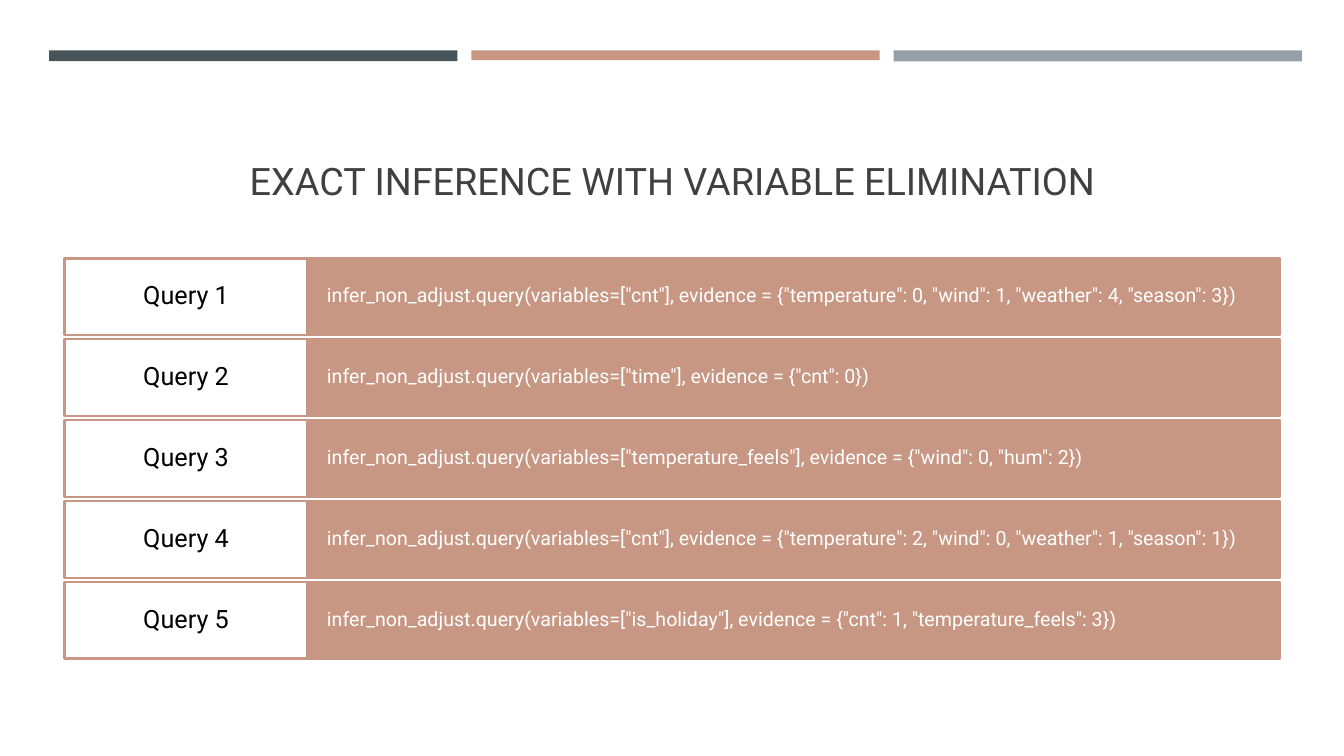
from pptx import Presentation
from pptx.dml.color import RGBColor
from pptx.enum.shapes import MSO_SHAPE as Shape
from pptx.enum.text import MSO_ANCHOR as Anchor, PP_ALIGN as Align
from pptx.util import Cm, Pt

SLATE = RGBColor(0x46, 0x53, 0x59)
CLAY = RGBColor(0xC7, 0x97, 0x83)
GRAY = RGBColor(0x96, 0x9F, 0xA7)
TITLE_GRAY = RGBColor(0x40, 0x40, 0x40)
BLACK = RGBColor(0x00, 0x00, 0x00)
WHITE = RGBColor(0xFF, 0xFF, 0xFF)

QUERIES = [
    'infer_non_adjust.query(variables=["cnt"], evidence = {"temperature": 0, "wind": 1, "weather": 4, "season": 3})',
    'infer_non_adjust.query(variables=["time"], evidence = {"cnt": 0})',
    'infer_non_adjust.query(variables=["temperature_feels"], evidence = {"wind": 0, "hum": 2})',
    'infer_non_adjust.query(variables=["cnt"], evidence = {"temperature": 2, "wind": 0, "weather": 1, "season": 1})',
    'infer_non_adjust.query(variables=["is_holiday"], evidence = {"cnt": 1, "temperature_feels": 3})',
]

presentation = Presentation()
presentation.slide_width, presentation.slide_height = Cm(33.87), Cm(19.05)
slide = presentation.slides.add_slide(presentation.slide_layouts[6])


def add_box(left, top, width, height, color):
    shape = slide.shapes.add_shape(
        Shape.RECTANGLE, Cm(left), Cm(top), Cm(width), Cm(height))
    shape.shadow.inherit = False
    shape.fill.solid()
    shape.fill.fore_color.rgb = color
    shape.line.fill.background()
    return shape


def write_text(shape, text, size, color, align, anchor):
    frame = shape.text_frame
    frame.word_wrap = True
    frame.vertical_anchor = anchor
    paragraph = frame.paragraphs[0]
    paragraph.text = text
    paragraph.alignment = align
    paragraph.line_spacing = 0.9
    paragraph.font.name = "Roboto"
    paragraph.font.size = Pt(size)
    paragraph.font.color.rgb = color
    return frame


# Bars along the top
for column, (color, height) in enumerate([(SLATE, 0.27), (CLAY, 0.25), (GRAY, 0.28)]):
    add_box(1.24 + column * 10.64, 1.27, 10.29, height, color)

# Title
title = slide.shapes.add_textbox(Cm(1.63), Cm(1.96), Cm(30.63), Cm(3.3))
write_text(title, "EXACT INFERENCE WITH VARIABLE ELIMINATION", 27,
           TITLE_GRAY, Align.CENTER, Anchor.BOTTOM)

# Query rows: code on the right, label on the left
for row, query in enumerate(QUERIES):
    top = 6.51 + row * 2.04
    cells = [
        (7.75, 24.51, CLAY, query, 14, WHITE, Align.LEFT, 0.49, 0.49),
        (1.63, 6.12, WHITE, f"Query {row + 1}", 18, BLACK, Align.CENTER, 0.33, 0.18),
    ]
    for left, width, fill, text, size, color, align, side, edge in cells:
        cell = add_box(left, top, width, 1.93, fill)
        cell.line.color.rgb = CLAY
        cell.line.width = Pt(1.75)
        frame = write_text(cell, text, size, color, align, Anchor.MIDDLE)
        frame.margin_left = frame.margin_right = Cm(side)
        frame.margin_top = frame.margin_bottom = Cm(edge)

presentation.save("out.pptx")
